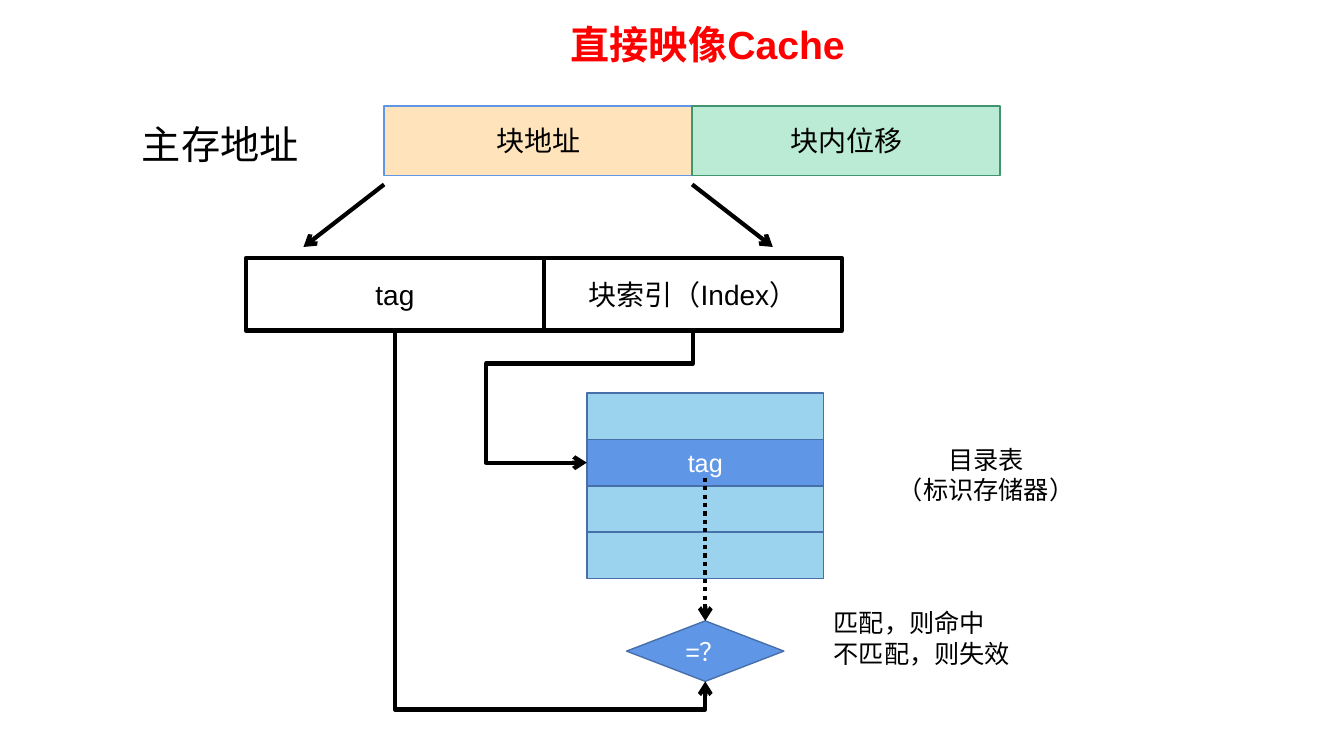
from lxml import etree
from pptx import Presentation
from pptx.dml.color import RGBColor
from pptx.enum.dml import MSO_LINE
from pptx.enum.shapes import MSO_CONNECTOR, MSO_SHAPE
from pptx.enum.text import MSO_ANCHOR, MSO_AUTO_SIZE, PP_ALIGN
from pptx.oxml.ns import qn
from pptx.util import Inches, Pt

RECT, DECISION = MSO_SHAPE.RECTANGLE, MSO_SHAPE.FLOWCHART_DECISION
STRAIGHT, ELBOW = MSO_CONNECTOR.STRAIGHT, MSO_CONNECTOR.ELBOW
LEFT, CENTER = PP_ALIGN.LEFT, PP_ALIGN.CENTER
TOP, MIDDLE = MSO_ANCHOR.TOP, MSO_ANCHOR.MIDDLE
DOTTED = MSO_LINE.ROUND_DOT

BLACK = RGBColor(0x00, 0x00, 0x00)
WHITE = RGBColor(0xFF, 0xFF, 0xFF)
RED = RGBColor(0xFF, 0x00, 0x00)
CREAM = RGBColor(0xFF, 0xE3, 0xBB)
MINT = RGBColor(0xBB, 0xEA, 0xD5)
GREEN = RGBColor(0x40, 0x95, 0x6E)
SKY = RGBColor(0x9B, 0xD3, 0xEF)
BLUE = RGBColor(0x60, 0x96, 0xE6)
NAVY = RGBColor(0x47, 0x6F, 0xAA)
FONT = "Arial"

# Content
TITLE = "直接映像Cache"
ADDRESS_FIELDS = [("块地址", CREAM, BLUE), ("块内位移", MINT, GREEN)]
BLOCK_FIELDS = ["tag", "块索引（Index）"]
DIRECTORY_ROWS = ["", "tag", "", ""]
COMPARE = "=？"
LABELS = [  # lines, size, alignment, (left, top, width, height)
    (["主存地址"], 28, LEFT, (1.31, 1.14, 2.06, 0.57)),
    (["目录表", "（标识存储器）"], 18, CENTER, (8.47, 4.36, 2.62, 0.71)),
    (["匹配，则命中", "不匹配，则失效"], 18, LEFT, (8.17, 5.98, 4.44, 0.71)),
]

# Grid: left, top, cell width, cell height
ADDRESS = (3.81, 1.05, 3.055, 0.69)
BLOCK = (2.44, 2.56, 2.955, 0.72)
DIRECTORY = (5.82, 3.9, 2.35, 0.46)
DIAMOND_WIDTH, DIAMOND_HEIGHT, DIAMOND_TOP = 1.56, 0.6, 6.16

deck = Presentation()
deck.slide_width, deck.slide_height = Inches(13.33), Inches(7.5)
page = deck.slides.add_slide(deck.slide_layouts[5])


def write(frame, lines, size, color, align, anchor, bold=False):
    frame.word_wrap = True
    frame.vertical_anchor = anchor
    for number, line in enumerate(lines):
        para = frame.add_paragraph() if number else frame.paragraphs[0]
        para.alignment = align
        span = para.add_run()
        span.text = line
        span.font.name, span.font.size, span.font.bold = FONT, Pt(size), bold
        span.font.color.rgb = color


def add_box(kind, place, fill, line, weight, text, size, color):
    box = page.shapes.add_shape(kind, *map(Inches, place))
    box.shadow.inherit = False
    box.fill.solid()
    box.fill.fore_color.rgb = fill
    box.line.color.rgb = line
    box.line.width = Pt(weight)
    if text:
        write(box.text_frame, [text], size, color, CENTER, MIDDLE)


def cell(grid, column=0, row=0):
    left, top, width, height = grid
    return left + column * width, top + row * height, width, height


def add_arrow(start, end, kind=STRAIGHT, dash=None):
    arrow = page.shapes.add_connector(kind, *map(Inches, start + end))
    arrow.line.color.rgb = BLACK
    arrow.line.width = Pt(3)
    if dash:
        arrow.line.dash_style = dash
    properties = arrow._element.spPr
    etree.SubElement(arrow.line._get_or_add_ln(), qn("a:tailEnd"), type="arrow")
    etree.SubElement(properties, qn("a:effectLst"))
    return properties


def add_elbow(start, end, preset, *bends):
    """Elbow leaving downwards: a quarter turn about the middle of its ends."""
    middle_x, middle_y = (start[0] + end[0]) / 2, (start[1] + end[1]) / 2
    turned = [(middle_x + y - middle_y, middle_y - x + middle_x) for x, y in (start, end)]
    properties = add_arrow(*turned, kind=ELBOW)
    properties.find(qn("a:xfrm")).set("rot", str(90 * 60000))
    shape = properties.find(qn("a:prstGeom"))
    shape.set("prst", preset)
    guides = shape.find(qn("a:avLst"))
    for number, bend in enumerate(bends, 1):
        etree.SubElement(guides, qn("a:gd"), name=f"adj{number}",
                         fmla=f"val {round(bend * 100000)}")


# Title
title = page.shapes.title
title.left, title.top, title.width, title.height = map(Inches, (5.56, 0.15, 3.08, 0.57))
write(title.text_frame, [TITLE], 28, RED, LEFT, TOP, bold=True)

# Address fields, block fields and directory rows
for column, (text, fill, line) in enumerate(ADDRESS_FIELDS):
    add_box(RECT, cell(ADDRESS, column), fill, line, 1, text, 20, BLACK)
for column, text in enumerate(BLOCK_FIELDS):
    add_box(RECT, cell(BLOCK, column), WHITE, BLACK, 3, text, 20, BLACK)
for row, text in enumerate(DIRECTORY_ROWS):
    add_box(RECT, cell(DIRECTORY, row=row), BLUE if text else SKY, NAVY, 1, text, 18, WHITE)

# Comparison
directory_middle = DIRECTORY[0] + DIRECTORY[2] / 2
add_box(DECISION, (directory_middle - DIAMOND_WIDTH / 2, DIAMOND_TOP, DIAMOND_WIDTH,
                   DIAMOND_HEIGHT), BLUE, NAVY, 1, COMPARE, 18, WHITE)

# Labels
for lines, size, align, place in LABELS:
    label = page.shapes.add_textbox(*map(Inches, place))
    write(label.text_frame, lines, size, BLACK, align, TOP)
    label.text_frame.auto_size = MSO_AUTO_SIZE.SHAPE_TO_FIT_TEXT

# Straight arrows
for column, direction in enumerate((-1, 1)):
    left = cell(ADDRESS, column)[0]
    add_arrow((left, 1.83), (left + direction * 0.8, 2.45))
add_arrow((directory_middle, 4.74), (directory_middle, DIAMOND_TOP), dash=DOTTED)

# Elbow arrows from the block fields
block_bottom = BLOCK[1] + BLOCK[3]
tag_middle, index_middle = (BLOCK[0] + BLOCK[2] * share for share in (0.5, 1.5))
add_elbow((tag_middle, block_bottom), (directory_middle, DIAMOND_TOP + DIAMOND_HEIGHT),
          "bentConnector3", 1.08)
add_elbow((index_middle, block_bottom), (DIRECTORY[0], DIRECTORY[1] + 1.5 * DIRECTORY[3]),
          "bentConnector4", 0.25, 1.95)

deck.save("out.pptx")
